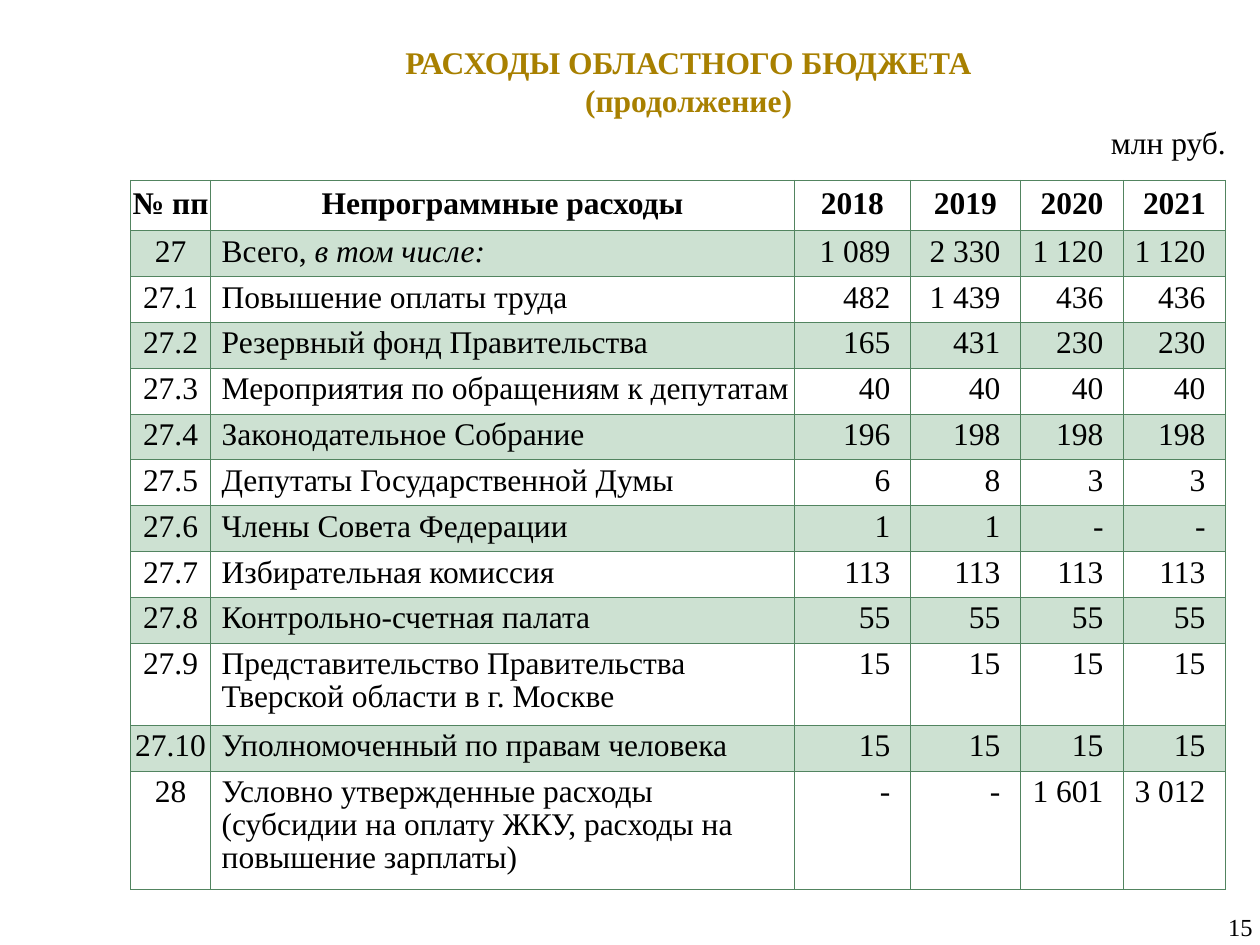
from pptx import Presentation
from pptx.util import Pt
from pptx.dml.color import RGBColor
from pptx.enum.text import PP_ALIGN as Al, MSO_ANCHOR as Anc
from pptx.oxml import parse_xml
from pptx.oxml.ns import nsdecls

BLACK = RGBColor(0, 0, 0)
GOLD = RGBColor(0xA8, 0x80, 0x00)
MINT = RGBColor(0xCD, 0xE1, 0xD2)
GREEN = RGBColor(0x52, 0x84, 0x60)


def add_run(par, text, size=18, color=BLACK, bold=False, italic=False):
    run = par.add_run()
    run.text = text
    font = run.font
    font.name = "Times New Roman"
    font.size = Pt(size)
    font.bold = bold
    font.italic = italic
    font.color.rgb = color


def add_box(left, top, width, height, lines, align, **style):
    box = slide.shapes.add_textbox(Pt(left), Pt(top), Pt(width), Pt(height))
    frame = box.text_frame
    frame.word_wrap = True
    for i, line in enumerate(lines):
        par = frame.add_paragraph() if i else frame.paragraphs[0]
        par.alignment = align
        add_run(par, line, **style)
    return frame


prs = Presentation()
prs.slide_width, prs.slide_height = Pt(720), Pt(540)
slide = prs.slides.add_slide(prs.slide_layouts[6])

heads = ["№ пп", "Непрограммные расходы", "2018", "2019", "2020", "2021"]
rows = [
    ["27", "Всего, ", "1 089", "2 330", "1 120", "1 120"],
    ["27.1", "Повышение оплаты труда", "482", "1 439", "436", "436"],
    ["27.2", "Резервный фонд Правительства", "165", "431", "230", "230"],
    ["27.3", "Мероприятия по обращениям к депутатам", "40", "40", "40", "40"],
    ["27.4", "Законодательное Собрание", "196", "198", "198", "198"],
    ["27.5", "Депутаты Государственной Думы", "6", "8", "3", "3"],
    ["27.6", "Члены Совета Федерации", "1", "1", "-", "-"],
    ["27.7", "Избирательная комиссия", "113", "113", "113", "113"],
    ["27.8", "Контрольно-счетная палата", "55", "55", "55", "55"],
    ["27.9", "Представительство Правительства Тверской области в г. Москве",
     "15", "15", "15", "15"],
    ["27.10", "Уполномоченный по правам человека", "15", "15", "15", "15"],
    ["28", "Условно утвержденные расходы (субсидии на оплату ЖКУ, "
     "расходы на повышение зарплаты)", "-", "-", "1 601", "3 012"],
]
widths = [45.7, 333.7, 66.3, 62.9, 58.9, 58.3]
heights = [28.8] + [26.2] * 9 + [46.9, 26.2, 67.5]

grid = slide.shapes.add_table(len(heights), len(widths), Pt(74.6), Pt(103),
                              Pt(sum(widths)), Pt(sum(heights)))
table = grid.table
table.first_row = table.horz_banding = False
for col, width in zip(table.columns, widths):
    col.width = Pt(width)
for row, height in zip(table.rows, heights):
    row.height = Pt(height)

for r, texts in enumerate([heads] + rows):
    for c, text in enumerate(texts):
        cell = table.cell(r, c)
        head = r == 0
        pad = Pt(3.6 if head else 2.9)
        cell.margin_top = cell.margin_bottom = pad
        cell.margin_left = Pt(0.7)
        cell.margin_right = Pt(0.7)
        par = cell.text_frame.paragraphs[0]
        if not head:
            par.line_spacing = 0.95
        if head or c == 0:
            par.alignment = Al.CENTER
        elif c == 1:
            par.alignment = Al.LEFT
            cell.margin_right = Pt(0)
            props = par._p.get_or_add_pPr()
            props.set("marL", str(Pt(5.7)))
            props.set("indent", "0")
        else:
            par.alignment = Al.RIGHT
            cell.margin_right = Pt(11.5)
        add_run(par, text, bold=head)
        if r == 1 and c == 1:
            add_run(par, "в том числе:", italic=True)
        for side in "LRTB":
            cell._tc.get_or_add_tcPr().append(parse_xml(
                f'<a:ln{side} {nsdecls("a")} w="{Pt(0.5)}"><a:solidFill>'
                f'<a:srgbClr val="{GREEN}"/></a:solidFill></a:ln{side}>'))
        if r % 2:
            cell.fill.solid()
            cell.fill.fore_color.rgb = MINT
        else:
            cell.fill.background()

add_box(95.8, 21, 595.4, 51, ["РАСХОДЫ ОБЛАСТНОГО БЮДЖЕТА", "(продолжение)"],
        Al.CENTER, color=GOLD, bold=True)
page = add_box(560.9, 515, 162, 28.8, ["15"], Al.RIGHT, size=14)
page.vertical_anchor = Anc.MIDDLE
add_box(627.8, 67, 84.2, 28.8, ["млн руб."], Al.LEFT)

prs.save("out.pptx")
